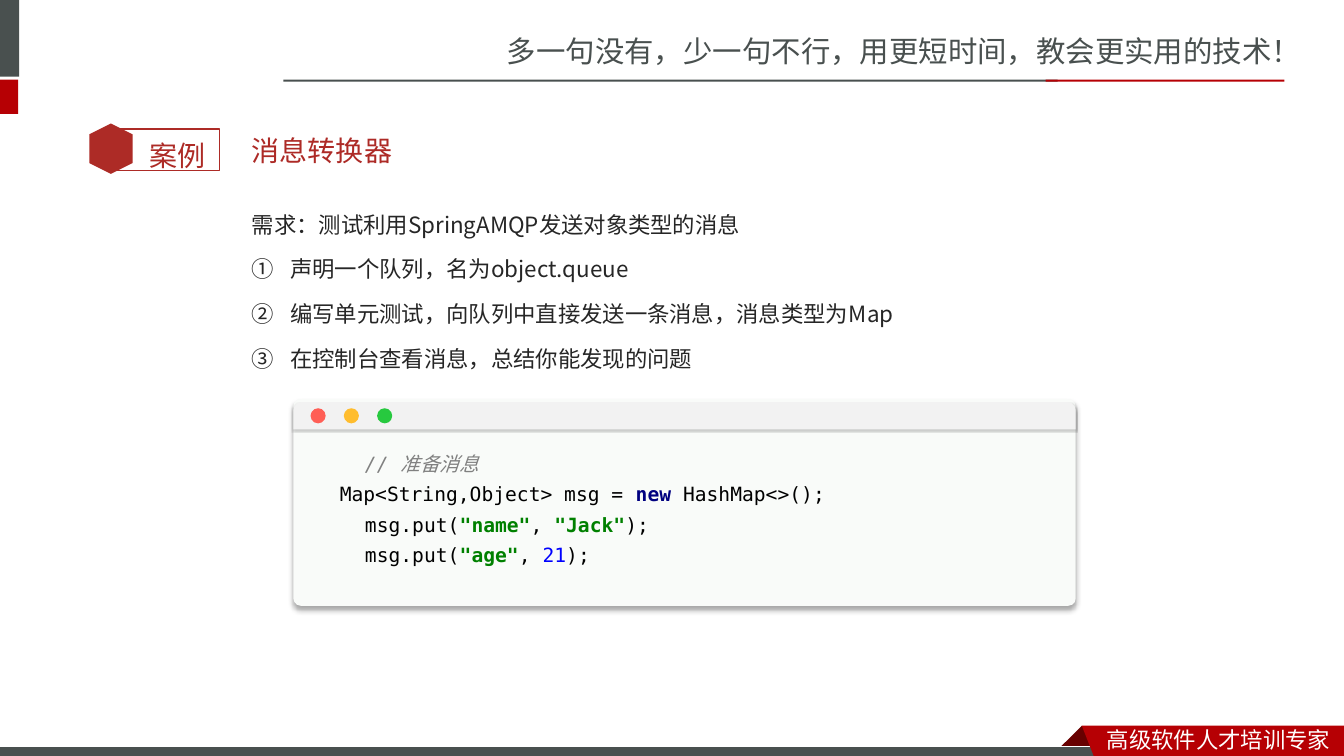
from lxml import etree
from pptx import Presentation
from pptx.dml.color import RGBColor
from pptx.enum.shapes import MSO_SHAPE as SHAPE
from pptx.enum.text import MSO_ANCHOR as ANCHOR
from pptx.oxml.ns import qn
from pptx.util import Inches, Pt

GREY = RGBColor(0x49, 0x50, 0x4F)
RED = RGBColor(0xB6, 0x00, 0x04)
DARK_RED = RGBColor(0x68, 0x00, 0x00)
CASE_RED = RGBColor(0xAD, 0x2B, 0x26)
TITLE_RED = RGBColor(0xAD, 0x2A, 0x26)
INK = RGBColor(0x26, 0x26, 0x26)
WHITE = RGBColor(0xFF, 0xFF, 0xFF)
PANEL = RGBColor(0xF9, 0xFB, 0xF9)
BAR = RGBColor(0xF2, 0xF2, 0xF2)
BLACK = RGBColor(0, 0, 0)
COMMENT = RGBColor(0x80, 0x80, 0x80)
KEYWORD = RGBColor(0x00, 0x00, 0x80)
STRING = RGBColor(0x00, 0x80, 0x00)
NUMBER = RGBColor(0x00, 0x00, 0xFF)
BUTTONS = [RGBColor(0xFF, 0x5F, 0x56), RGBColor(0xFF, 0xBD, 0x2E), RGBColor(0x27, 0xC9, 0x3F)]

SANS, BODY, MONO = "Noto Sans CJK SC", "Noto Sans CJK JP", "DejaVu Sans Mono"

SLOGAN = "多一句没有，少一句不行，用更短时间，教会更实用的技术！"
FOOTER = "高级软件人才培训专家"
TITLE = "消息转换器"
REQUIREMENT = "需求：测试利用SpringAMQP发送对象类型的消息"
STEPS = [
    "声明一个队列，名为object.queue",
    "编写单元测试，向队列中直接发送一条消息，消息类型为Map",
    "在控制台查看消息，总结你能发现的问题",
]
# Each code line: indent in inches, then (text, colour) runs
CODE = [
    (0.47, [("// ", COMMENT), ("准备消息", COMMENT)]),
    (0.22, [("Map<String,Object> msg = ", BLACK), ("new ", KEYWORD), ("HashMap<>();", BLACK)]),
    (0.47, [("msg.put(", BLACK), ('"name"', STRING), (", ", BLACK), ('"Jack"', STRING), (");", BLACK)]),
    (0.47, [("msg.put(", BLACK), ('"age"', STRING), (", ", BLACK), ("21", NUMBER), (");", BLACK)]),
]
FOLD = [(10.73, 7.2), (10.95, 7.42), (10.94, 7.43), (10.52, 7.43), (10.51, 7.42)]
RIBBON = [(10.73, 7.2), (13.33, 7.2), (13.33, 7.54), (10.86, 7.53)]


def paint(shape, fill=None, line=None, weight=1):
    shape.shadow.inherit = False
    if fill is None:
        shape.fill.background()
    else:
        shape.fill.solid()
        shape.fill.fore_color.rgb = fill
    if line is None:
        shape.line.fill.background()
    else:
        shape.line.color.rgb = line
        shape.line.width = Pt(weight)
    return shape


def add_box(s, kind, at, fill=None, line=None, weight=1):
    return paint(s.shapes.add_shape(kind, *map(Inches, at)), fill, line, weight)


def add_outline(s, points, fill):
    corners = [(Inches(x), Inches(y)) for x, y in points]
    builder = s.shapes.build_freeform(*corners[0])
    builder.add_line_segments(corners[1:], close=True)
    paint(builder.convert_to_shape(), fill)


def drop_shadow(shape, alpha, blur, dist):
    effects = shape._element.spPr.find(qn("a:effectLst"))
    shadow = etree.SubElement(effects, qn("a:outerShdw"), blurRad=str(Pt(blur)),
                              dist=str(Pt(dist)), dir="5400000", rotWithShape="0")
    color = etree.SubElement(shadow, qn("a:srgbClr"), val="000000")
    etree.SubElement(color, qn("a:alpha"), val=str(alpha * 1000))


def add_frame(s, at, anchor=ANCHOR.TOP):
    tf = s.shapes.add_textbox(*map(Inches, at)).text_frame
    tf.word_wrap = True
    tf.vertical_anchor = anchor
    return tf


def next_paragraph(tf):
    """Return the unused first paragraph, or a new one."""
    return tf.add_paragraph() if tf.paragraphs[0].runs else tf.paragraphs[0]


def add_run(p, text, size, font, color):
    r = p.add_run()
    r.text = text
    r.font.size = Pt(size)
    r.font.name = font
    r.font.color.rgb = color
    etree.SubElement(r._r.get_or_add_rPr(), qn("a:ea"), typeface=font)
    return r


def add_label(s, at, text, size, font, color, spacing=1.0, anchor=ANCHOR.TOP):
    p = add_frame(s, at, anchor).paragraphs[0]
    p.line_spacing = spacing
    add_run(p, text, size, font, color)


def add_frame_art(s):
    add_label(s, (4.93, 0.28, 8.4, 0.47), SLOGAN, 21, SANS, GREY)
    for at, color in [((0, 0, 0.19, 0.76), GREY), ((0, 0.79, 0.18, 0.34), RED),
                      ((2.81, 0.79, 7.68, 0.02), GREY), ((10.37, 0.79, 2.37, 0.02), RED)]:
        add_box(s, SHAPE.RECTANGLE, at, color)
    add_outline(s, FOLD, DARK_RED)
    add_box(s, SHAPE.RECTANGLE, (-0.01, 7.41, 11, 0.12), GREY, WHITE, 0.75)
    add_outline(s, RIBBON, RED)
    add_label(s, (10.88, 7.15, 2.45, 0.37), FOOTER, 16, SANS, WHITE)


def add_case(s):
    add_box(s, SHAPE.RECTANGLE, (1.09, 1.28, 1.09, 0.41), line=CASE_RED)
    hexagon = add_box(s, SHAPE.HEXAGON, (0.85, 1.26, 0.5, 0.43), CASE_RED)
    hexagon.rotation = 90
    add_label(s, (1.38, 1.16, 0.85, 0.56), "案例", 20, "Calibri", CASE_RED, 1.5)


def add_body(s):
    tf = add_frame(s, (2.4, 1.91, 10.08, 2))
    for i, text in enumerate([REQUIREMENT] + STEPS):
        p = next_paragraph(tf)
        p.line_spacing = 1.5
        p.space_before = Pt(3.2)
        add_run(p, text, 16, BODY, INK)
        if i:
            pPr = p._p.get_or_add_pPr()
            pPr.set("marL", str(Inches(0.38)))
            pPr.set("indent", str(-Inches(0.38)))
            etree.SubElement(pPr, qn("a:buFont"), typeface="+mj-ea")
            etree.SubElement(pPr, qn("a:buAutoNum"), type="circleNumDbPlain")
    add_label(s, (2.4, 1.27, 9.24, 0.44), TITLE, 20, "Lato", TITLE_RED, anchor=ANCHOR.MIDDLE)


def add_code_window(s):
    left, width = 2.91, 7.76
    panel = add_box(s, SHAPE.ROUNDED_RECTANGLE, (left, 3.96, width, 2.05), PANEL)
    panel.adjustments[0] = 0.036
    drop_shadow(panel, 34, 4, 3)

    tf = add_frame(s, (left, 4.36, 7.18, 1.3))
    tf.margin_left = tf.margin_right = Inches(0.24)
    for indent, runs in CODE:
        p = next_paragraph(tf)
        p.line_spacing = 1.3
        p._p.get_or_add_pPr().set("marL", str(Inches(indent)))
        for text, color in runs:
            font = MONO if text.isascii() else "Courier New"
            r = add_run(p, text, 14, font, color)
            r.font.italic = color == COMMENT
            r.font.bold = color in (KEYWORD, STRING)

    bar = add_box(s, SHAPE.ROUND_2_SAME_RECTANGLE, (left, 3.99, width, 0.27), BAR)
    bar.adjustments[0] = 0.3
    drop_shadow(bar, 20, 1, 1)
    for i, color in enumerate(BUTTONS):
        add_box(s, SHAPE.OVAL, (3.08 + 0.33 * i, 4.05, 0.15, 0.15), color)


def main():
    prs = Presentation()
    prs.slide_width, prs.slide_height = Inches(13.33), Inches(7.5)
    s = prs.slides.add_slide(prs.slide_layouts[6])
    add_frame_art(s)
    add_case(s)
    add_body(s)
    add_code_window(s)
    prs.save("out.pptx")


if __name__ == "__main__":
    main()
